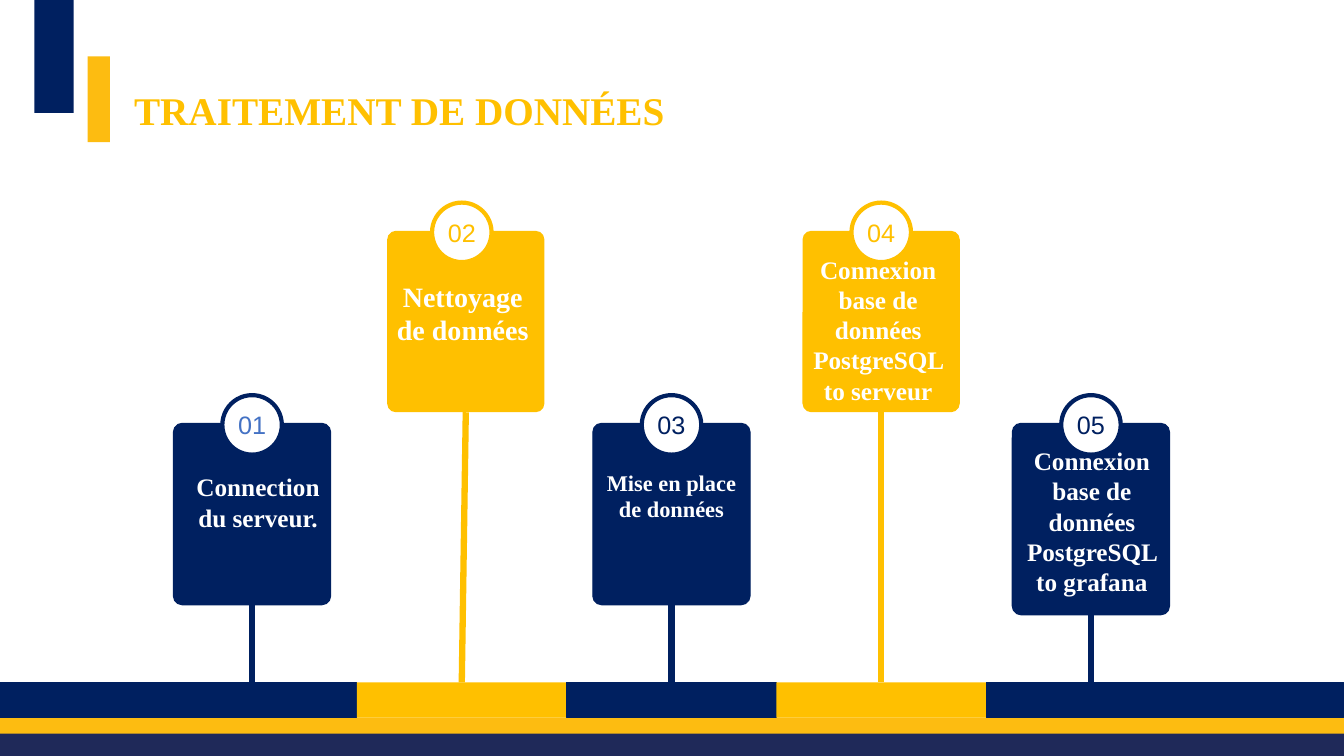
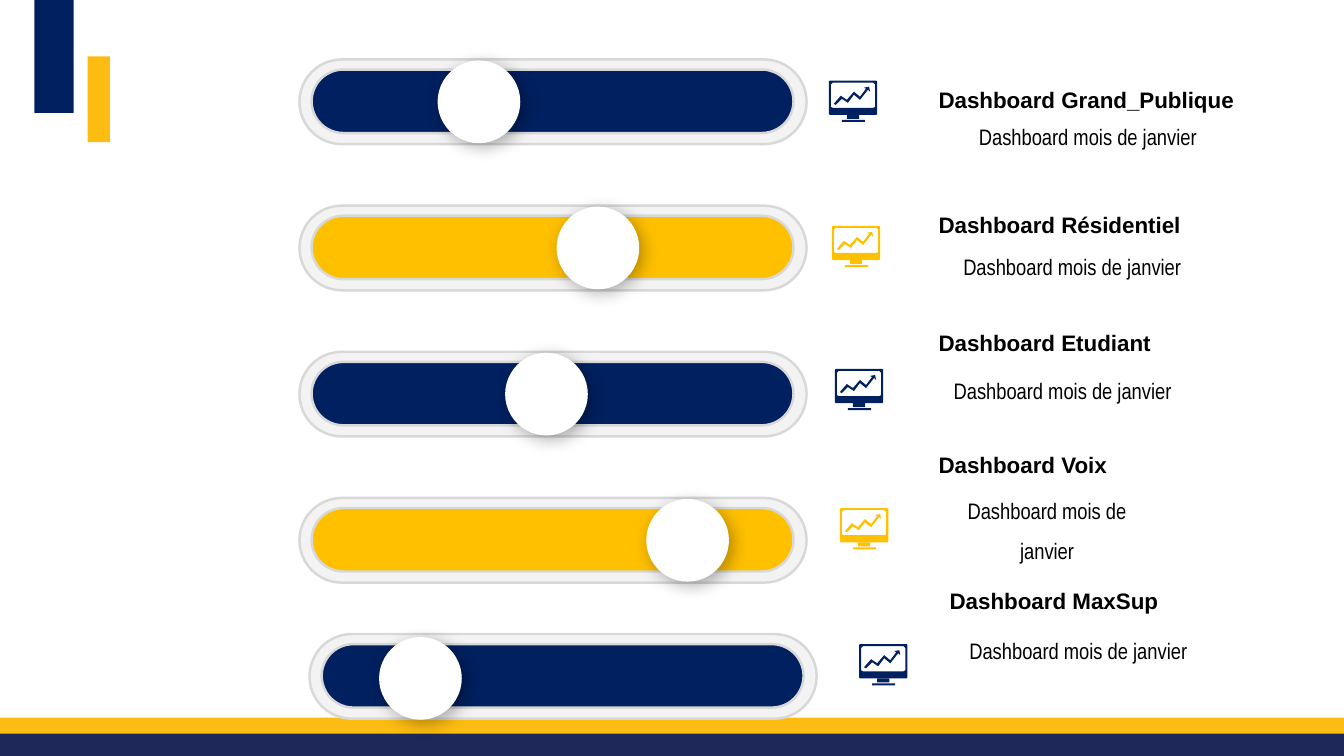
from lxml.etree import SubElement
from pptx import Presentation
from pptx.dml.color import RGBColor
from pptx.enum.shapes import MSO_CONNECTOR, MSO_SHAPE
from pptx.enum.text import MSO_ANCHOR, MSO_AUTO_SIZE, PP_ALIGN
from pptx.oxml.ns import qn
from pptx.util import Inches, Pt

COLORS = {
    "navy": "002060",
    "gold": "FFC000",
    "footer_navy": "1F2959",
    "accent_gold": "FDBC11",
    "blue": "4472C4",
    "white": "FFFFFF",
    "black": "000000",
    "track": "F3F3F3",
    "track_edge": "D8D8D8",
}
SERIF, SANS, NARROW = "Times New Roman", "Arial", "Arial Narrow"
SLIDE_WIDTH, SLIDE_HEIGHT = 13.33, 7.5

# Timeline: every stop stands over the middle of its pitch
FIRST_STOP, PITCH = 2.5, 2.08
ROAD_TOP, ROAD_HEIGHT = 6.77, 0.35
CARD_WIDTH, BADGE_SIZE = 1.56, 0.59

# Step: label, label size, label left and top, card top, card height, card shift
STEPS = [
    ("Connection du serveur.", 18, 1.86, 4.68, 4.2, 1.8, 0),
    ("Nettoyage de données", 20, 3.89, 2.77, 2.29, 1.8, 0.04),
    ("Mise en place de données", 16, 5.96, 4.65, 4.2, 1.8, 0),
    ("Connexion base de données PostgreSQL to serveur", 18, 8.01, 2.52, 2.29, 1.8, 0),
    ("Connexion base de données PostgreSQL to grafana", 18, 10.13, 4.42, 4.2, 1.9, 0),
]

# Slider: left, top, knob left, knob top
SLIDERS = [
    (2.97, 0.59, 4.34, 0.6),
    (2.97, 2.04, 5.52, 2.05),
    (2.97, 3.49, 5.01, 3.5),
    (2.97, 4.94, 6.41, 4.95),
    (3.07, 6.29, 3.76, 6.32),
]
ICONS = [(8.22, 0.8), (8.25, 2.24), (8.28, 3.66), (8.33, 5.04), (8.52, 6.39)]

# Dashboard: name, name left and top, caption left, top and width
DASHBOARDS = [
    ("Dashboard Grand_Publique", 9.21, 0.67, 9.49, 1.04, 2.6),
    ("Dashboard Résidentiel", 9.21, 1.91, 9.21, 2.33, 2.85),
    ("Dashboard Etudiant", 9.21, 3.08, 9.21, 3.56, 2.66),
    ("Dashboard Voix", 9.21, 4.29, 9.21, 4.75, 2.35),
    ("Dashboard MaxSup", 9.32, 5.64, 9.32, 6.14, 2.75),
]
CAPTION = "Dashboard mois de janvier"

# Icon outlines, in hundredths of an inch
TREND_ARROW = [
    (40, 6), (35, 7), (37, 8), (31, 16), (25, 11), (18, 19), (12, 15), (5, 23),
    (7, 24), (13, 18), (19, 22), (25, 14), (31, 19), (39, 9), (41, 11),
]


def rgb(name):
    return RGBColor.from_string(COLORS[name])


def alternate(index):
    return "gold" if index % 2 else "navy"


def edge_of(color):
    """Navy parts of the timeline carry a thin outline, gold ones none."""
    return color if color == "navy" else None


def write(frame, content, *, size, font, color, bold=False, align=PP_ALIGN.LEFT,
          anchor=MSO_ANCHOR.TOP, margins=(0.1, 0.05), spacing=None):
    frame.word_wrap = True
    frame.auto_size = MSO_AUTO_SIZE.NONE
    frame.vertical_anchor = anchor
    frame.margin_left = frame.margin_right = Inches(margins[0])
    frame.margin_top = frame.margin_bottom = Inches(margins[1])
    paragraph = frame.paragraphs[0]
    paragraph.alignment = align
    if spacing:
        paragraph.line_spacing = spacing
    run = paragraph.add_run()
    run.text = content
    run.font.size = Pt(size)
    run.font.name = font
    run.font.bold = bold
    run.font.color.rgb = rgb(color)


def add_text(slide, content, left, top, width, height, **text_format):
    box = slide.shapes.add_textbox(*map(Inches, (left, top, width, height)))
    write(box.text_frame, content, **text_format)


def paint(shape, fill, edge=None, edge_width=0.75):
    shape.shadow.inherit = False
    shape.fill.solid()
    shape.fill.fore_color.rgb = rgb(fill)
    if edge:
        shape.line.color.rgb = rgb(edge)
        shape.line.width = Pt(edge_width)
    else:
        shape.line.fill.background()


def add_block(shapes, kind, left, top, width, height, fill, edge=None,
              edge_width=0.75, rounding=None):
    block = shapes.add_shape(kind, *map(Inches, (left, top, width, height)))
    if rounding is not None:
        block.adjustments[0] = rounding
    paint(block, fill, edge, edge_width)
    return block


def add_soft_shadow(shape):
    effects = shape._element.spPr.find(qn("a:effectLst"))
    shadow = SubElement(effects, qn("a:outerShdw"), blurRad=str(Pt(12)),
                        dist=str(Pt(4)), dir=str(45 * 60000), rotWithShape="0")
    shade = SubElement(shadow, qn("a:srgbClr"), val=COLORS["black"])
    SubElement(shade, qn("a:alpha"), val="30000")


def add_slide(deck, layout_index):
    """Add a slide with the corner bars and the footer bands."""
    slide = deck.slides.add_slide(deck.slide_layouts[layout_index])
    for left, top, width, height, fill in (
        (0, 7.23, SLIDE_WIDTH, 0.27, "footer_navy"),
        (0, 7.12, SLIDE_WIDTH, 0.16, "accent_gold"),
        (0.87, 0.56, 0.22, 0.85, "accent_gold"),
        (0.34, 0, 0.39, 1.12, "navy"),
    ):
        add_block(slide.shapes, MSO_SHAPE.RECTANGLE, left, top, width, height, fill)
    return slide


def set_title(slide, content):
    title = slide.shapes.title
    title.left, title.top = Inches(1.23), Inches(0.81)
    title.width, title.height = Inches(6.36), Inches(0.57)
    write(title.text_frame, content, size=28, font=SERIF, color="gold", bold=True)


def add_road(slide):
    """Draw the coloured road and return its segments."""
    start = FIRST_STOP + PITCH / 2
    bounds = [0, *(start + PITCH * i for i in range(len(STEPS) - 1)), SLIDE_WIDTH]
    return [
        add_block(slide.shapes, MSO_SHAPE.RECTANGLE, left, ROAD_TOP, right - left,
                  ROAD_HEIGHT, alternate(i), edge_of(alternate(i)))
        for i, (left, right) in enumerate(zip(bounds, bounds[1:]))
    ]


def add_post(slide, card, stop, segment, color):
    """Link a card to the road, glued to the segment when its middle is the stop."""
    post = slide.shapes.add_connector(MSO_CONNECTOR.STRAIGHT, Inches(stop), card.top,
                                      Inches(stop), Inches(ROAD_TOP))
    post.begin_connect(card, 2)
    if segment is not None:
        post.end_connect(segment, 0)
    post.line.color.rgb = rgb(color)
    post.line.width = Pt(4.5)
    SubElement(post._element.spPr, qn("a:effectLst"))


def add_step(slide, index, segment):
    label, size, label_left, label_top, top, height, shift = STEPS[index]
    stop = FIRST_STOP + PITCH * index
    color = alternate(index)
    card = add_block(slide.shapes, MSO_SHAPE.ROUNDED_RECTANGLE,
                     stop - CARD_WIDTH / 2 + shift, top, CARD_WIDTH, height,
                     color, edge_of(color), rounding=0.056)
    badge = add_block(slide.shapes, MSO_SHAPE.OVAL, stop - BADGE_SIZE / 2, top - 0.28,
                      BADGE_SIZE, BADGE_SIZE, "white", color, 3)
    write(badge.text_frame, f"{index + 1:02}", size=18, font=SANS,
          color=color if index else "blue", align=PP_ALIGN.CENTER,
          anchor=MSO_ANCHOR.MIDDLE, margins=(0, 0))
    add_post(slide, card, stop, segment, color)
    add_text(slide, label, label_left, label_top, 1.4, top + height - label_top,
             size=size, font=SERIF, color="white", bold=True,
             align=PP_ALIGN.CENTER, margins=(0, 0))


def add_slider(slide, left, top, knob_left, knob_top, color):
    for inset_x, inset_y, width, height, fill in (
        (0, 0, 5.03, 0.84, "track"),
        (0.12, 0.1, 4.78, 0.63, color),
    ):
        add_block(slide.shapes, MSO_SHAPE.ROUNDED_RECTANGLE, left + inset_x,
                  top + inset_y, width, height, fill, "track_edge", 1.75, 0.5)
    knob = add_block(slide.shapes, MSO_SHAPE.OVAL, knob_left, knob_top,
                     0.82, 0.82, "white")
    add_soft_shadow(knob)


def cut_corners(left, top, right, bottom, cut):
    return [
        (left + cut, top), (right - cut, top), (right, top + cut),
        (right, bottom - cut), (right - cut, bottom), (left + cut, bottom),
        (left, bottom - cut), (left, top + cut),
    ]


def add_outline(shapes, left, top, contours, color):
    """Draw closed contours given in hundredths of an inch from left and top."""
    first, *others = contours
    builder = shapes.build_freeform(*first[0], scale=Inches(0.01))
    builder.add_line_segments(first[1:], close=True)
    for contour in others:
        builder.move_to(*contour[0])
        builder.add_line_segments(contour[1:], close=True)
    paint(builder.convert_to_shape(Inches(left), Inches(top)), color)


def add_monitor(slide, left, top, color):
    parts = slide.shapes.add_group_shape().shapes
    screen = cut_corners(2, 2, 46, 27, 1.5)[::-1]
    add_outline(parts, left, top, [cut_corners(0, 0, 48, 34, 1), screen], color)
    for x, y, width, height in ((0.18, 0.34, 0.12, 0.04), (0.13, 0.39, 0.23, 0.02)):
        add_block(parts, MSO_SHAPE.RECTANGLE, left + x, top + y, width, height, color)
    add_outline(parts, left, top, [TREND_ARROW], color)


def add_dashboard(slide, name, left, top, caption_left, caption_top, caption_width):
    add_text(slide, name, left, top, 3.15, 0.5, size=16, font=SANS,
             color="black", bold=True, spacing=1.5)
    add_text(slide, CAPTION, caption_left, caption_top, caption_width, 0.54, size=16,
             font=NARROW, color="black", align=PP_ALIGN.CENTER, spacing=1.5)


def build_timeline(deck):
    slide = add_slide(deck, 5)
    set_title(slide, "TRAITEMENT DE DONNÉES")
    segments = add_road(slide)
    # The outer segments run on to the slide edge, so their middles are not stops
    targets = [None, *segments[1:-1], None]
    for index, segment in enumerate(targets):
        add_step(slide, index, segment)


def build_dashboards(deck):
    slide = add_slide(deck, 6)
    for i, (slider, icon, dashboard) in enumerate(zip(SLIDERS, ICONS, DASHBOARDS)):
        add_slider(slide, *slider, alternate(i))
        add_monitor(slide, *icon, alternate(i))
        add_dashboard(slide, *dashboard)


def main():
    deck = Presentation()
    deck.slide_width, deck.slide_height = Inches(SLIDE_WIDTH), Inches(SLIDE_HEIGHT)
    build_timeline(deck)
    build_dashboards(deck)
    deck.save("out.pptx")


if __name__ == "__main__":
    main()
